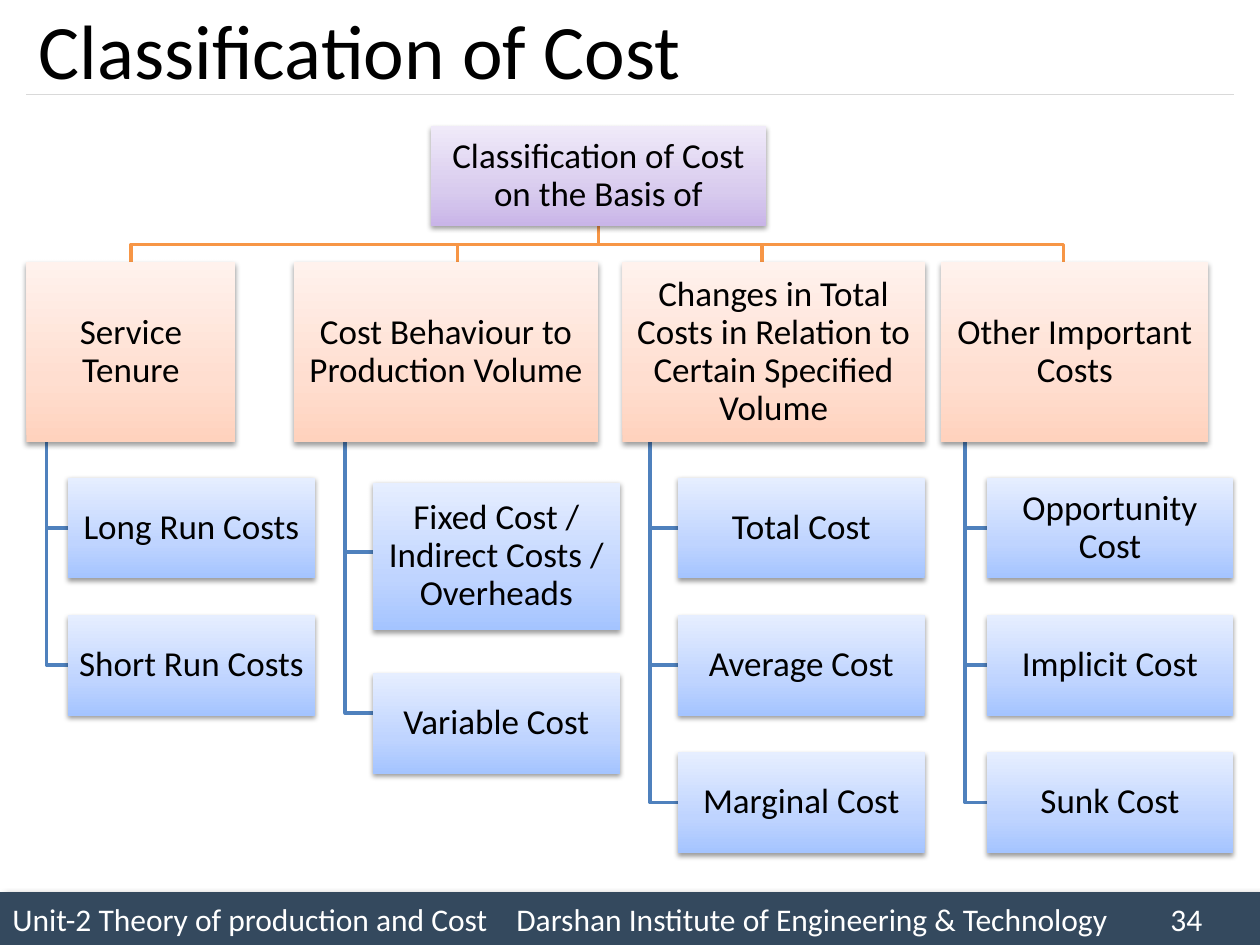
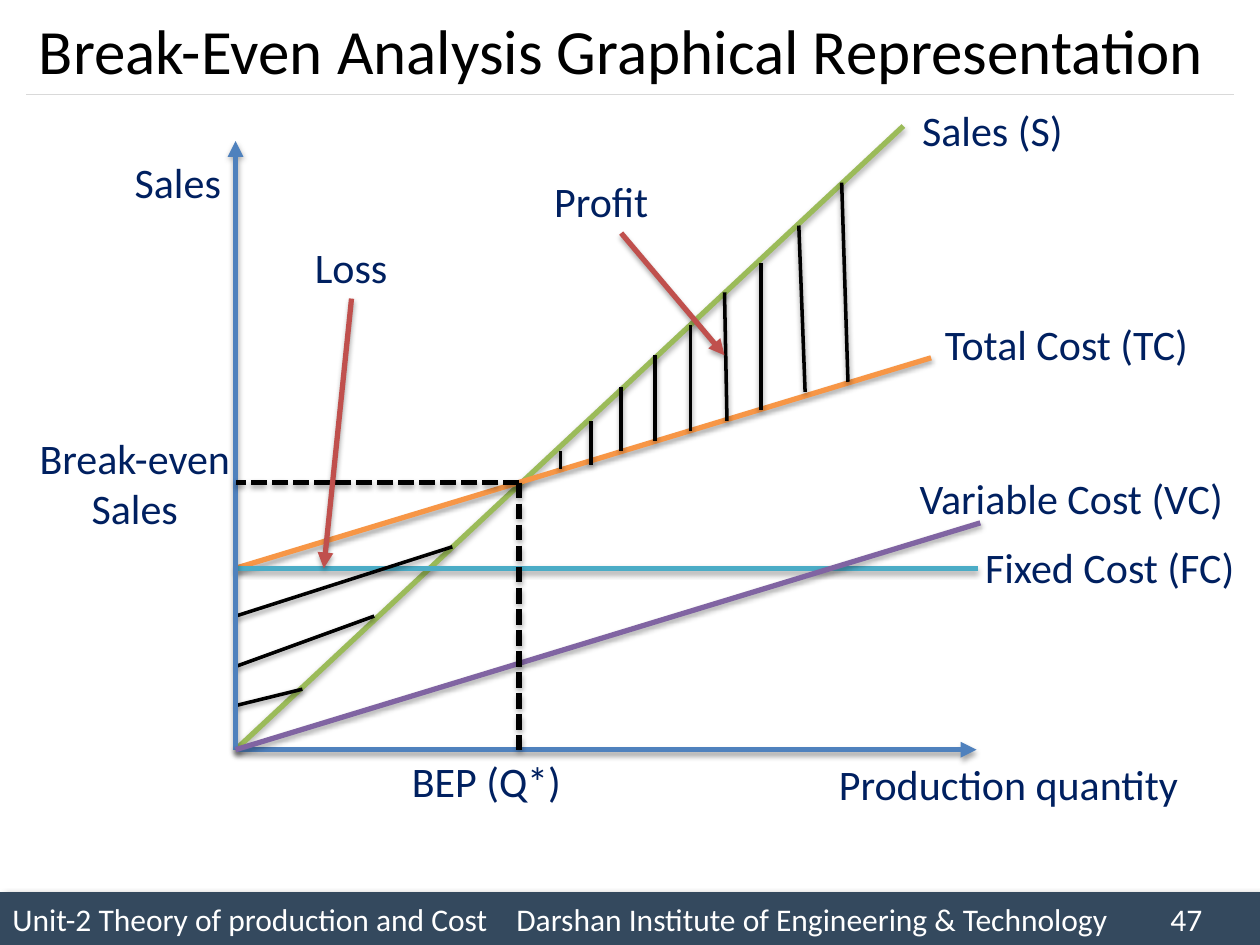
from copy import deepcopy

from lxml import etree
from pptx import Presentation
from pptx.dml.color import RGBColor
from pptx.enum.dml import MSO_LINE
from pptx.enum.shapes import MSO_CONNECTOR, MSO_SHAPE
from pptx.enum.text import MSO_ANCHOR, PP_ALIGN
from pptx.oxml.ns import qn
from pptx.util import Inches, Pt

RECT = MSO_SHAPE.RECTANGLE
STRAIGHT = MSO_CONNECTOR.STRAIGHT
DASH = MSO_LINE.SQUARE_DOT
MIDDLE = MSO_ANCHOR.MIDDLE
TOP = MSO_ANCHOR.TOP
LEFT = PP_ALIGN.LEFT
CENTER = PP_ALIGN.CENTER

BLACK = RGBColor(0x00, 0x00, 0x00)
WHITE = RGBColor(0xFF, 0xFF, 0xFF)
SLATE = RGBColor(0x34, 0x49, 0x5E)
GREY = RGBColor(0xD9, 0xD9, 0xD9)
NAVY = RGBColor(0x00, 0x20, 0x60)
BLUE = RGBColor(0x4F, 0x81, 0xBD)
ORANGE = RGBColor(0xF7, 0x96, 0x46)
GREEN = RGBColor(0x9B, 0xBB, 0x59)
TEAL = RGBColor(0x4B, 0xAC, 0xC6)
PURPLE = RGBColor(0x80, 0x64, 0xA2)
RED = RGBColor(0xC0, 0x50, 0x4D)
LILAC_FADE = (RGBColor(0xC9, 0xB5, 0xE8), RGBColor(0xD8, 0xCB, 0xEE), RGBColor(0xF0, 0xEA, 0xF9))
PEACH_FADE = (RGBColor(0xFF, 0xD2, 0xBD), RGBColor(0xFF, 0xDE, 0xD0), RGBColor(0xFF, 0xF2, 0xED))
SKY_FADE = (RGBColor(0xA4, 0xC4, 0xFF), RGBColor(0xBF, 0xD4, 0xFF), RGBColor(0xE6, 0xEE, 0xFF))
STOPS = (0, 0.35, 1)

FONT = "Calibri"
BAND_SHADE = dict(alpha=40, blur=4, dist=3, angle=45)
BOX_SHADE = dict(alpha=38, blur=3.1, dist=1.6, angle=90)
LINE_SHADE = dict(alpha=35, blur=3.1, dist=1.8, angle=90)

UNIT = "Unit-2 Theory of production and Cost"
SCHOOL = "Darshan Institute of Engineering & Technology"
FOOT_TABS = (4, 9.19)

ROOT_X, ROOT_END, RAIL_Y = 4.75, 1.79, 1.94
HEAD_TOP, HEAD_END = 2.08, 3.51
LEAF_WIDE = 1.96
EVEN_ROWS = [(3.79 + 1.09 * i, 0.8, 4.19 + 1.09 * i) for i in range(3)]
ODD_ROWS = [(3.83, 1.17, 4.38), (5.34, 0.8, 5.66)]
GROUPS = [
    dict(head="Service Tenure", left=0.21, wide=1.66, drop=1.04, stem=0.37,
         leaf=0.54, rows=EVEN_ROWS, names=["Long Run Costs", "Short Run Costs"]),
    dict(head="Cost Behaviour to Production Volume", left=2.33, wide=2.42, drop=3.63, stem=2.74,
         leaf=2.96, rows=ODD_ROWS,
         names=["Fixed Cost / Indirect Costs / Overheads", "Variable Cost"]),
    dict(head="Changes in Total Costs in Relation to Certain Specified Volume",
         left=4.94, wide=2.4, drop=6.05, stem=5.16,
         leaf=5.38, rows=EVEN_ROWS, names=["Total Cost", "Average Cost", "Marginal Cost"]),
    dict(head="Other Important Costs", left=7.47, wide=2.12, drop=8.44, stem=7.66,
         leaf=7.83, rows=EVEN_ROWS, names=["Opportunity Cost", "Implicit Cost", "Sunk Cost"]),
]

AXIS_X, AXIS_Y = 1.87, 5.95
FIXED_Y = 4.51
BREAK = (4.12, 3.83)
PROFIT_HATCH = [
    (4.45, 3.58, 4.45, 3.72), (4.69, 3.34, 4.69, 3.69), (4.93, 3.07, 4.93, 3.58),
    (5.2, 2.82, 5.2, 3.5), (5.48, 2.58, 5.48, 3.42), (5.75, 2.32, 5.77, 3.34),
    (6.04, 2.09, 6.04, 3.25), (6.34, 1.79, 6.39, 3.11), (6.68, 1.45, 6.73, 3.03),
]
LOSS_HATCH = [(AXIS_X, 4.89, 3.59, 4.34), (AXIS_X, 5.29, 2.97, 4.89), (AXIS_X, 5.6, 2.4, 5.47)]
LABELS = [
    ("Sales (S)", 7.22, 0.78, 1.33), ("Total Cost (TC)", 7.4, 2.48, 2.15),
    ("Variable Cost (VC)", 7.2, 3.7, 2.63), ("Fixed Cost (FC)", 7.72, 4.25, 2.2),
    ("BEP (Q*)", 3.17, 5.95, 1.4), ("Production quantity", 6.56, 5.97, 2.92),
    ("Profit", 4.3, 1.34, 0.96), ("Sales", 0.97, 1.19, 0.89),
]


def inches(*values):
    return [Inches(value) for value in values]


def shade(shape, alpha, blur, dist, angle):
    props = shape._element.spPr
    effects = props.find(qn("a:effectLst"))
    if effects is None:
        effects = etree.SubElement(props, qn("a:effectLst"))
    outer = etree.SubElement(effects, qn("a:outerShdw"), blurRad=str(Pt(blur)),
                             dist=str(Pt(dist)), dir=str(angle * 60000), rotWithShape="0")
    color = etree.SubElement(outer, qn("a:srgbClr"), val="000000")
    etree.SubElement(color, qn("a:alpha"), val=str(alpha * 1000))


def write(shape, text, size, color, align=LEFT, gap=1.0, **frame_format):
    frame = shape.text_frame
    for name, value in frame_format.items():
        setattr(frame, name, value)
    frame.text = text
    for para in frame.paragraphs:
        para.alignment = align
        para.line_spacing = gap
        for run in para.runs:
            for name, value in dict(name=FONT, size=Pt(size)).items():
                setattr(run.font, name, value)
            run.font.color.rgb = color


def add_rect(slide, left, top, wide, high):
    shape = slide.shapes.add_shape(RECT, *inches(left, top, wide, high))
    shape.line.fill.background()
    shape.shadow.inherit = False
    return shape


def add_box(slide, text, left, top, wide, high, fade):
    box = add_rect(slide, left, top, wide, high)
    box.fill.gradient()
    box.fill.gradient_angle = 90
    stops = box._element.spPr.find(".//" + qn("a:gsLst"))
    stops.append(deepcopy(stops[0]))
    for stop, place, color in zip(box.fill.gradient_stops, STOPS, fade):
        stop.position = place
        stop.color.rgb = color
    shade(box, **BOX_SHADE)
    edges = dict.fromkeys(("margin_left", "margin_top", "margin_right", "margin_bottom"),
                          Inches(0.01))
    write(box, text, 20, BLACK, CENTER, 0.9, word_wrap=True, vertical_anchor=MIDDLE, **edges)


def add_bend(slide, points, color):
    start, *rest = [inches(*point) for point in points]
    pen = slide.shapes.build_freeform(*start, scale=1.0)
    pen.add_line_segments(rest, close=False)
    bend = pen.convert_to_shape()
    bend.fill.background()
    bend.shadow.inherit = False
    bend.line.color.rgb = color
    bend.line.width = Pt(2)


def add_line(slide, x1, y1, x2, y2, color, width=3, glow=LINE_SHADE, dash=None, arrow=False):
    line = slide.shapes.add_connector(STRAIGHT, *inches(x1, y1, x2, y2))
    line.line.color.rgb = color
    for name, value in dict(width=Pt(width), dash_style=dash).items():
        setattr(line.line, name, value)
    if arrow:
        etree.SubElement(line.line._get_or_add_ln(), qn("a:tailEnd"), type="triangle")
    etree.SubElement(line._element.spPr, qn("a:effectLst"))
    if glow:
        shade(line, **glow)
    return line


def add_label(slide, text, left, top, wide, high=0.5, align=LEFT):
    label = slide.shapes.add_textbox(*inches(left, top, wide, high))
    write(label, text, 24, NAVY, align, word_wrap=False, vertical_anchor=TOP)
    return label


def add_foot(slide, number):
    band = add_rect(slide, 0, 7.08, 10, 0.42)
    band.fill.solid()
    band.fill.fore_color.rgb = SLATE
    shade(band, **BAND_SHADE)
    write(band, f"{UNIT}\t{SCHOOL}\t{number}", 18, WHITE, word_wrap=True, vertical_anchor=MIDDLE)
    tabs = etree.SubElement(band.text_frame.paragraphs[0]._p.get_or_add_pPr(), qn("a:tabLst"))
    for place in FOOT_TABS:
        etree.SubElement(tabs, qn("a:tab"), pos=str(Inches(place)), algn="l")


def add_page(deck, title, size, number):
    slide = deck.slides.add_slide(deck.slide_layouts[6])
    add_foot(slide, number)
    add_line(slide, 0.21, 0.75, 9.79, 0.75, GREY, 0.75, None)
    head = slide.shapes.add_textbox(*inches(0.21, -0.05, 9.58, 0.88))
    write(head, title, size, BLACK, word_wrap=True, vertical_anchor=MIDDLE)
    return slide


def add_group(slide, head, left, wide, drop, stem, leaf, rows, names):
    add_bend(slide, [(ROOT_X, ROOT_END), (ROOT_X, RAIL_Y), (drop, RAIL_Y), (drop, HEAD_TOP)],
             ORANGE)
    for name, (top, high, joint) in zip(names, rows):
        add_bend(slide, [(stem, HEAD_END), (stem, joint), (leaf, joint)], BLUE)
        add_box(slide, name, leaf, top, LEAF_WIDE, high, SKY_FADE)
    add_box(slide, head, left, HEAD_TOP, wide, HEAD_END - HEAD_TOP, PEACH_FADE)


def draw_tree(deck):
    slide = add_page(deck, "Classification of Cost", 44, 34)
    for group in GROUPS:
        add_group(slide, **group)
    add_box(slide, "Classification of Cost on the Basis of", 3.42, 1, 2.66, 0.79, LILAC_FADE)


def draw_graph(deck):
    slide = add_page(deck, "Break-Even Analysis Graphical Representation", 36, 47)
    add_line(slide, AXIS_X, AXIS_Y, 7.17, 1, GREEN)
    add_line(slide, AXIS_X, FIXED_Y, 7.39, 2.84, ORANGE)
    add_line(slide, AXIS_X, FIXED_Y, 7.76, FIXED_Y, TEAL)
    for ends in PROFIT_HATCH + LOSS_HATCH:
        add_line(slide, *ends, BLACK, 2, BOX_SHADE)
    for end in ((AXIS_X, 1.12), (7.75, AXIS_Y)):
        add_line(slide, AXIS_X, AXIS_Y, *end, BLUE, arrow=True)
    add_line(slide, AXIS_X, AXIS_Y, 7.78, 4.15, PURPLE)
    for end in ((BREAK[0], AXIS_Y), (AXIS_X, BREAK[1])):
        add_line(slide, *BREAK, *end, BLACK, dash=DASH)
    for label in LABELS:
        add_label(slide, *label)
    add_label(slide, "Break-even\nSales", 0.2, 3.38, 1.74, 0.91, CENTER)
    loss = add_label(slide, "Loss", 2.4, 1.87, 0.78)
    add_line(slide, 4.93, 1.85, 5.75, 2.82, RED, arrow=True)
    arrow = add_line(slide, 2.79, 2.37, 2.57, FIXED_Y, RED, arrow=True)
    arrow.begin_connect(loss, 2)


def main():
    deck = Presentation()
    deck.slide_width, deck.slide_height = inches(10, 7.5)
    draw_tree(deck)
    draw_graph(deck)
    deck.save("out.pptx")


if __name__ == "__main__":
    main()
